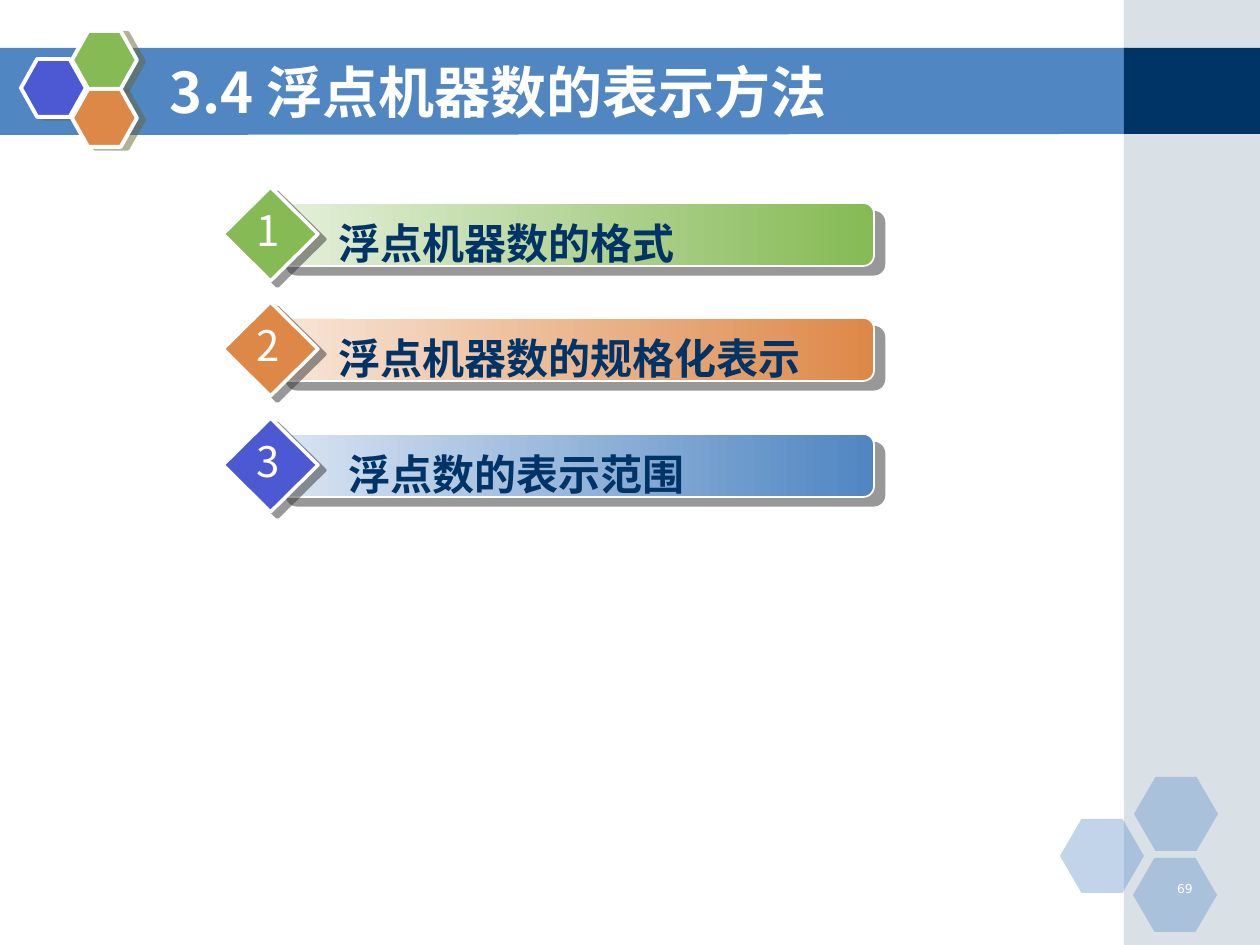
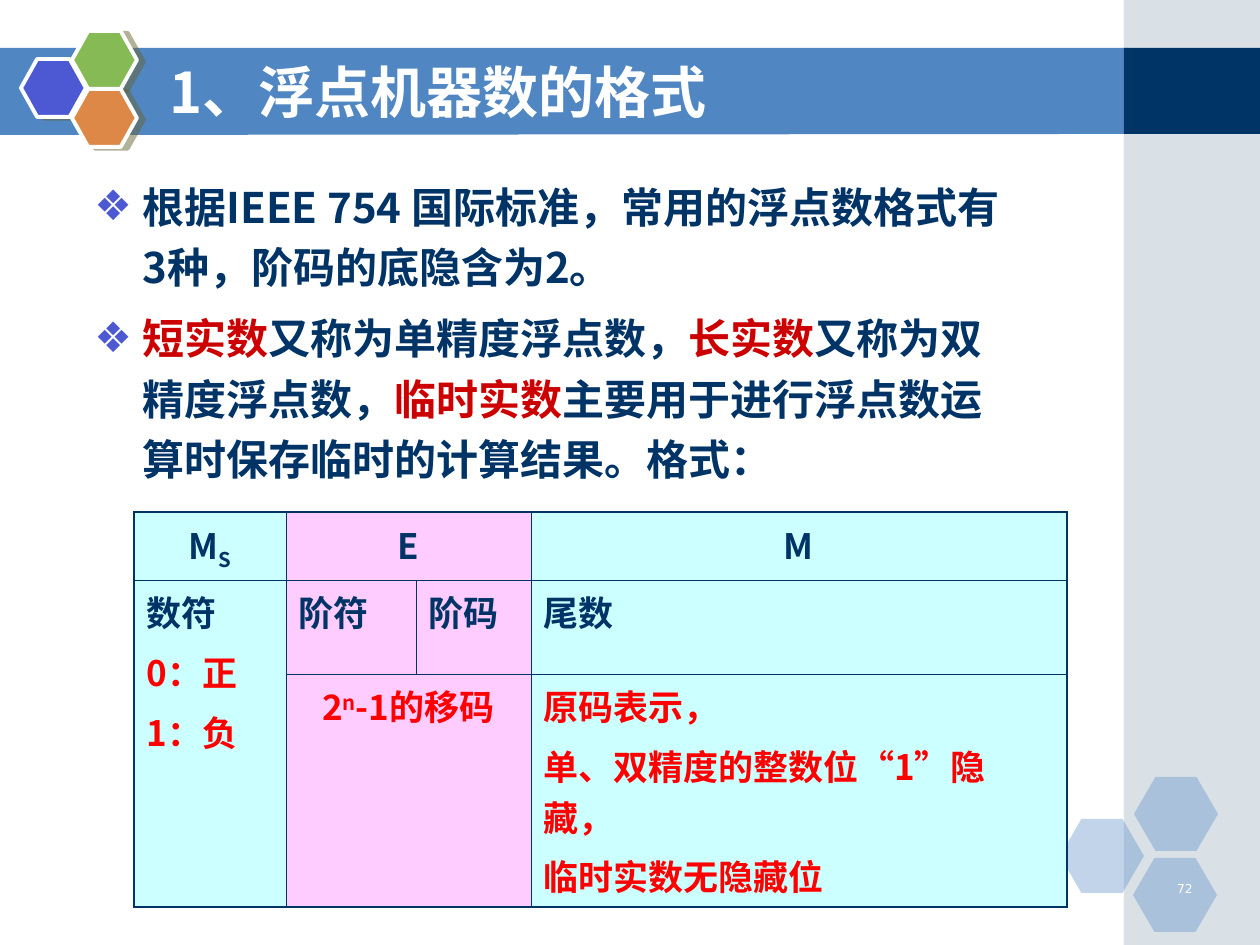
from pptx import Presentation
from pptx.dml.color import RGBColor
from pptx.enum.shapes import MSO_SHAPE
from pptx.enum.text import MSO_ANCHOR, MSO_AUTO_SIZE, PP_ALIGN
from pptx.oxml.ns import qn
from pptx.util import Pt
from lxml import etree

PX = 914400 / 126
WIDE, HIGH = 1260, 945
RECT, ROUND = MSO_SHAPE.RECTANGLE, MSO_SHAPE.ROUNDED_RECTANGLE
HEX, DIAMOND = MSO_SHAPE.HEXAGON, MSO_SHAPE.DIAMOND
LEFT, MID, RIGHT = PP_ALIGN.LEFT, PP_ALIGN.CENTER, PP_ALIGN.RIGHT
TITLE_ONLY = 5
CJK, LATIN, SMALL = "Noto Sans CJK SC", "Arial", "DejaVu Sans"
HUES = {
    "white": "FFFFFF", "navy": "003366", "blue": "5086C2", "mist": "A0B5C4",
    "violet": "4C59D2", "green": "85BA54", "orange": "DE8848",
    "pale_green": "E5F0DB", "pale_orange": "F8E6D8", "pale_blue": "DAE5F2",
    "crimson": "CC0000", "red": "FF0000", "cyan": "CCFFFF", "pink": "FFCCFF",
    "olive": "666633", "gray": "333333",
}


def rgb(name):
    return RGBColor.from_string(HUES[name])


def emu(*sizes):
    return [round(n * PX) for n in sizes]


def sub(node, tag, **attrs):
    child = etree.SubElement(node, qn(tag))
    for key, value in attrs.items():
        child.set(key, str(value))
    return child


# Text: a paragraph is a string or a list of (text, changes) runs
def write(frame, paras, size=24, color="navy", bold=False, font=CJK,
          align=LEFT, line=None, gap=0, bullet=None, hang=0):
    for i, runs in enumerate(paras):
        para = frame.paragraphs[0] if i == 0 else frame.add_paragraph()
        para.alignment = align
        if line:
            para.line_spacing = line
        if i:
            para.space_before = Pt(gap)
        props = para._p.get_or_add_pPr()
        props.set("hangingPunct", "0")
        if bullet:
            props.set("marL", str(round(hang * PX)))
            props.set("indent", str(round(-hang * PX)))
            tint = sub(props, "a:buClr")
            sub(tint, "a:srgbClr", val=HUES["violet"])
            sub(props, "a:buFont", typeface=SMALL)
            sub(props, "a:buChar", char=bullet)
        for text, diff in [(runs, {})] if isinstance(runs, str) else runs:
            run = para.add_run()
            run.text = text
            run.font.size, run.font.bold = Pt(size), bold
            run.font.color.rgb = rgb(diff.get("color", color))
            run.font.name = diff.get("font", font)
            sub(run.font._element, "a:ea", typeface=CJK)
            if "base" in diff:
                run.font._element.set("baseline", str(diff["base"] * 1000))


def label(slide, box, paras, wrap=True, inset=None, **fmt):
    frame = slide.shapes.add_textbox(*emu(*box)).text_frame
    frame.word_wrap = wrap
    if inset is not None:
        frame.margin_left = emu(inset)[0]
    write(frame, paras, **fmt)


# Shapes: shade is (colour, distance in points, angle)
def draw(slide, kind, box, fill, adj=None, alpha=None, edge=0, shade=None):
    shape = slide.shapes.add_shape(kind, *emu(*box))
    if adj is not None:
        shape.adjustments[0] = adj
    if isinstance(fill, tuple):
        shape.fill.gradient()
        shape.fill.gradient_angle = 0
        for stop, name in zip(shape.fill.gradient_stops, fill):
            stop.color.rgb = rgb(name)
    else:
        shape.fill.solid()
        shape.fill.fore_color.rgb = rgb(fill)
    if edge:
        shape.line.color.rgb = rgb("white")
        shape.line.width = Pt(edge)
    else:
        shape.line.fill.background()
    shape.shadow.inherit = False
    props = shape._element.spPr
    if alpha:
        tint = props.find(qn("a:solidFill")).find(qn("a:srgbClr"))
        sub(tint, "a:alpha", val=alpha * 1000)
    if shade:
        name, dist, angle = shade
        cast = sub(props.find(qn("a:effectLst")), "a:outerShdw", blurRad=0,
                   dist=Pt(dist), dir=angle * 60000, algn="ctr", rotWithShape=0)
        tint = sub(cast, "a:srgbClr", val=HUES[name])
        sub(tint, "a:alpha", val=50000)


# Frame shared by all slides: band, side strip, hexagons, page, title
def dress(deck, title, page):
    slide = deck.slides.add_slide(deck.slide_layouts[TITLE_ONLY])
    outline = slide.shapes.build_freeform(0, 48, scale=PX)
    outline.add_line_segments([(1128, 48), (1128, 134), (0, 135)])
    band = outline.convert_to_shape()
    band.fill.solid()
    band.fill.fore_color.rgb = rgb("blue")
    band.line.fill.background()
    band.shadow.inherit = False

    side = 1124
    draw(slide, RECT, (side, 0, WIDE - side, HIGH), "mist", alpha=40)
    draw(slide, RECT, (side, 48, WIDE - side, 86), "navy")
    for x, y in ((1060, 819), (1134, 777), (1133, 858)):
        draw(slide, HEX, (x, y, 84, 74), "blue", adj=0.29, alpha=35)
    for x, y, fill in ((21, 59, "violet"), (72, 31, "green"), (72, 89, "orange")):
        draw(slide, HEX, (x, y, 65, 58), fill, adj=0.28, edge=2.25,
             shade=("olive", 4.1, 14))
    label(slide, (1142, 878, 63, 32), [page], size=7, color="white",
          font=SMALL, align=RIGHT, line=0.8)

    head = slide.shapes.title
    head.left, head.top, head.width, head.height = emu(157, 52, 924, 78)
    head.text_frame.auto_size = MSO_AUTO_SIZE.NONE
    head.text_frame.vertical_anchor = MSO_ANCHOR.MIDDLE
    write(head.text_frame, [title], size=32, color="white", bold=True)
    slide.shapes._spTree.append(head._element)
    return slide


# One agenda entry: fading bar, text and numbered diamond
def entry(slide, x, y, num, text, fills, badge, inset, font):
    draw(slide, ROUND, (x + 53, y + 16, 598, 63), fills, adj=0.17, edge=1,
         shade=("gray", 7.8, 40))
    label(slide, (x + 84, y + 24, 542, 63), [text], inset=inset, bold=True,
          font=font)
    draw(slide, DIAMOND, (x, y, 95, 94), badge, edge=2, shade=("gray", 5, 37))
    label(slide, (x + 20, y + 11, 50, 63), [num], wrap=False, color="white",
          align=MID)


def agenda(deck):
    slide = dress(deck, "3.4 浮点机器数的表示方法", "69")
    items = [
        ("浮点机器数的格式", ("pale_green", "green"), "green", 32, CJK),
        ("浮点机器数的规格化表示", ("pale_orange", "orange"), "orange", 32, CJK),
        ("浮点数的表示范围", ("pale_blue", "blue"), "violet", 42, LATIN),
    ]
    for i, item in enumerate(items):
        entry(slide, 223, 187 + i * 231 // 2, str(i + 1), *item)


# Cell edges: thick around the table, thin inside
def rule(cell, row, col, rows, cols):
    props = cell._tc.get_or_add_tcPr()
    right = col + (cell.span_width if cell.is_merge_origin else 1)
    low = row + (cell.span_height if cell.is_merge_origin else 1)
    outer = (("a:lnL", col == 0), ("a:lnR", right == cols),
             ("a:lnT", row == 0), ("a:lnB", low == rows))
    for i, (tag, thick) in enumerate(outer):
        edge = etree.Element(qn(tag))
        edge.set("w", str(Pt(1.08 if thick else 0.45)))
        sub(sub(edge, "a:solidFill"), "a:srgbClr", val=HUES["navy"])
        props.insert(i, edge)


def grid(slide, x, y, widths, heights, spans, texts):
    rows, cols = len(heights), len(widths)
    shape = slide.shapes.add_table(
        rows, cols, *emu(x, y, sum(widths), sum(heights)))
    table = shape.table
    table.first_row = table.horz_banding = False
    for col, width in zip(table.columns, emu(*widths)):
        col.width = width
    for row, height in zip(table.rows, emu(*heights)):
        row.height = height
    for start, end in spans:
        table.cell(*start).merge(table.cell(*end))
    for r in range(rows):
        for c in range(cols):
            cell = table.cell(r, c)
            cell.fill.solid()
            cell.fill.fore_color.rgb = rgb("pink" if c in (1, 2) else "cyan")
            rule(cell, r, c, rows, cols)
            if (r, c) in texts:
                paras, color, align = texts[r, c]
                write(cell.text_frame, paras, size=20, color=color, bold=True,
                      align=align, gap=5)


def format_page(deck):
    slide = dress(deck, "1、浮点机器数的格式", "72")
    key = {"color": "crimson"}
    label(slide, (82, 165, 948, 348), [
        "根据IEEE 754 国际标准，常用的浮点数格式有3种，阶码的底隐含为2。",
        [("短实数", key), ("又称为单精度浮点数，", {}),
         ("长实数", key), ("又称为双精度浮点数，", {}),
         ("临时实数", key),
         ("主要用于进行浮点数运算时保存临时的计算结果。格式：", {})],
    ], bold=True, line=1.2, gap=6, bullet="❖", hang=48)

    red, quote = {"color": "red"}, {"font": LATIN}
    texts = {
        (0, 0): ([[("M", {}), ("S", {"base": -25})]], "navy", MID),
        (0, 1): (["E"], "navy", MID),
        (0, 3): (["M"], "navy", MID),
        (1, 0): (["数符", [("0：正", red)], [("1：负", red)]], "navy", LEFT),
        (1, 1): (["阶符"], "navy", LEFT),
        (1, 2): (["阶码"], "navy", LEFT),
        (1, 3): (["尾数"], "navy", LEFT),
        (2, 1): ([[("2", {}), ("n", {"base": 30}), ("-1的移码", {})]],
                 "red", MID),
        (2, 3): (["原码表示，",
                  [("单、双精度的整数位", {}), ("“", quote), ("1", {}),
                   ("”", quote), ("隐藏，", {})],
                  "临时实数无隐藏位"], "red", LEFT),
    }
    spans = [((0, 1), (0, 2)), ((1, 0), (2, 0)), ((2, 1), (2, 2))]
    grid(slide, 134, 512, (152, 130, 115, 536), (68, 94, 233), spans, texts)


def main():
    deck = Presentation()
    deck.slide_width, deck.slide_height = emu(WIDE, HIGH)
    agenda(deck)
    format_page(deck)
    deck.save("out.pptx")


if __name__ == "__main__":
    main()
